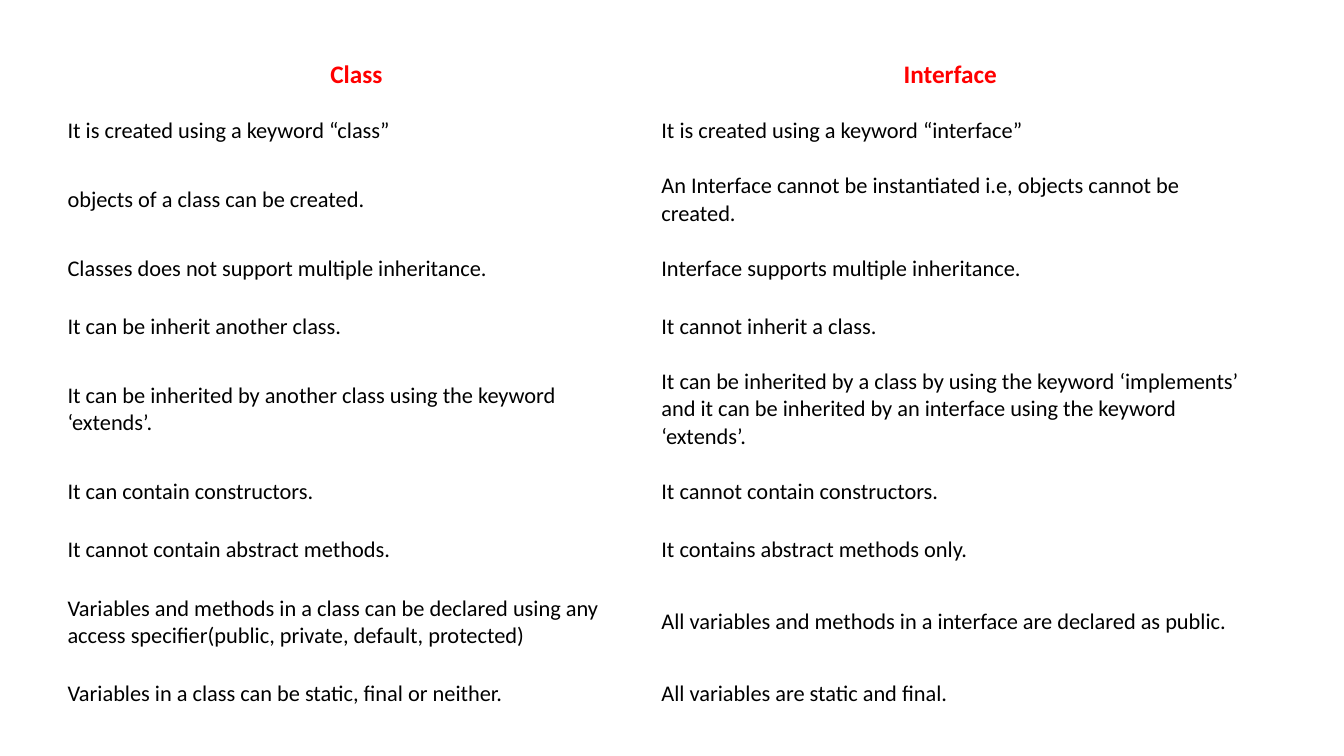
import pptx
import pptx.dml.color
import pptx.enum.text
import pptx.util
from dataclasses import dataclass

PX = 9144


@dataclass(frozen=True)
class Theme:
    font: str = "Calibri"
    heading_size: int = 18
    body_size: int = 16
    heading: str = "FF0000"
    body: str = "000000"
    background: str = "FFFFFF"


THEME = Theme()
COMPARISON = [
    ("Class", "Interface"),
    ("It is created using a keyword “class”",
     "It is created using a keyword “interface”"),
    ("objects of a class can be created.",
     "An Interface cannot be instantiated i.e, objects cannot be created."),
    ("Classes does not support multiple inheritance.",
     "Interface supports multiple inheritance."),
    ("It can be inherit another class.", "It cannot inherit a class."),
    ("It can be inherited by another class using the keyword ‘extends’.",
     "It can be inherited by a class by using the keyword ‘implements’ and it can be "
     "inherited by an interface using the keyword ‘extends’."),
    ("It can contain constructors.", "It cannot contain constructors."),
    ("It cannot contain abstract methods.", "It contains abstract methods only."),
    ("Variables and methods in a class can be declared using any access "
     "specifier(public, private, default, protected)",
     "All variables and methods in a interface are declared as public."),
    ("Variables in a class can be static, final or neither.",
     "All variables are static and final."),
]
ROW_HEIGHTS = [53, 58, 58, 58, 58, 85, 58, 58, 85, 58]


def px(length):
    return pptx.util.Emu(length * PX)


def rgb(value):
    return pptx.dml.color.RGBColor.from_string(value)


def write_text(frame, text, *, size, color, bold=False, align="LEFT"):
    paragraph = frame.paragraphs[0]
    paragraph.alignment = pptx.enum.text.PP_ALIGN[align]
    run = paragraph.add_run()
    run.text = text
    run.font.name = THEME.font
    run.font.size = pptx.util.Pt(size)
    run.font.bold = bold
    run.font.color.rgb = rgb(color)


def format_cell(cell, vertical_margin):
    cell.fill.solid()
    cell.fill.fore_color.rgb = rgb(THEME.background)
    cell.vertical_anchor = pptx.enum.text.MSO_ANCHOR.MIDDLE
    cell.margin_left = cell.margin_right = px(8)
    cell.margin_top = cell.margin_bottom = px(vertical_margin)


def add_comparison(slide, rows, heights, left, top, column_width):
    columns = len(rows[0])
    comparison = slide.shapes.add_table(
        len(rows), columns, px(left), px(top),
        px(column_width * columns), px(sum(heights))).table
    comparison.first_row = False
    comparison.horz_banding = False
    for column in comparison.columns:
        column.width = px(column_width)
    for index, (statements, height) in enumerate(zip(rows, heights)):
        comparison.rows[index].height = px(height)
        for side, statement in enumerate(statements):
            cell = comparison.cell(index, side)
            if index == 0:
                format_cell(cell, 8)
                write_text(cell.text_frame, statement, size=THEME.heading_size,
                           color=THEME.heading, bold=True, align="CENTER")
            else:
                format_cell(cell, 12)
                write_text(cell.text_frame, statement, size=THEME.body_size,
                           color=THEME.body)


def main():
    deck = pptx.Presentation()
    deck.slide_width, deck.slide_height = px(1333), px(750)
    slide = deck.slides.add_slide(deck.slide_layouts[6])
    add_comparison(slide, COMPARISON, ROW_HEIGHTS, left=59, top=48, column_width=589)
    deck.save("out.pptx")


if __name__ == "__main__":
    main()
